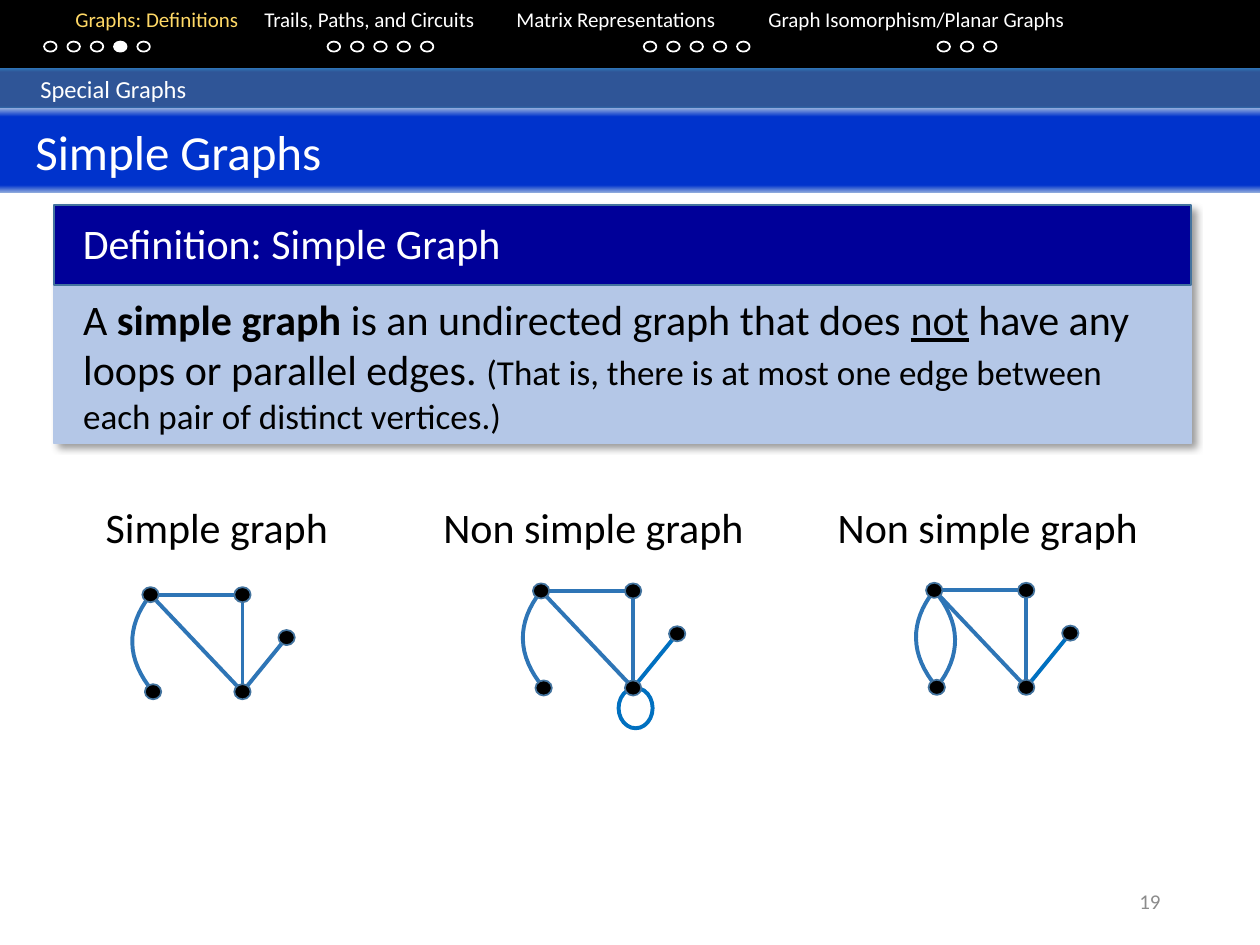
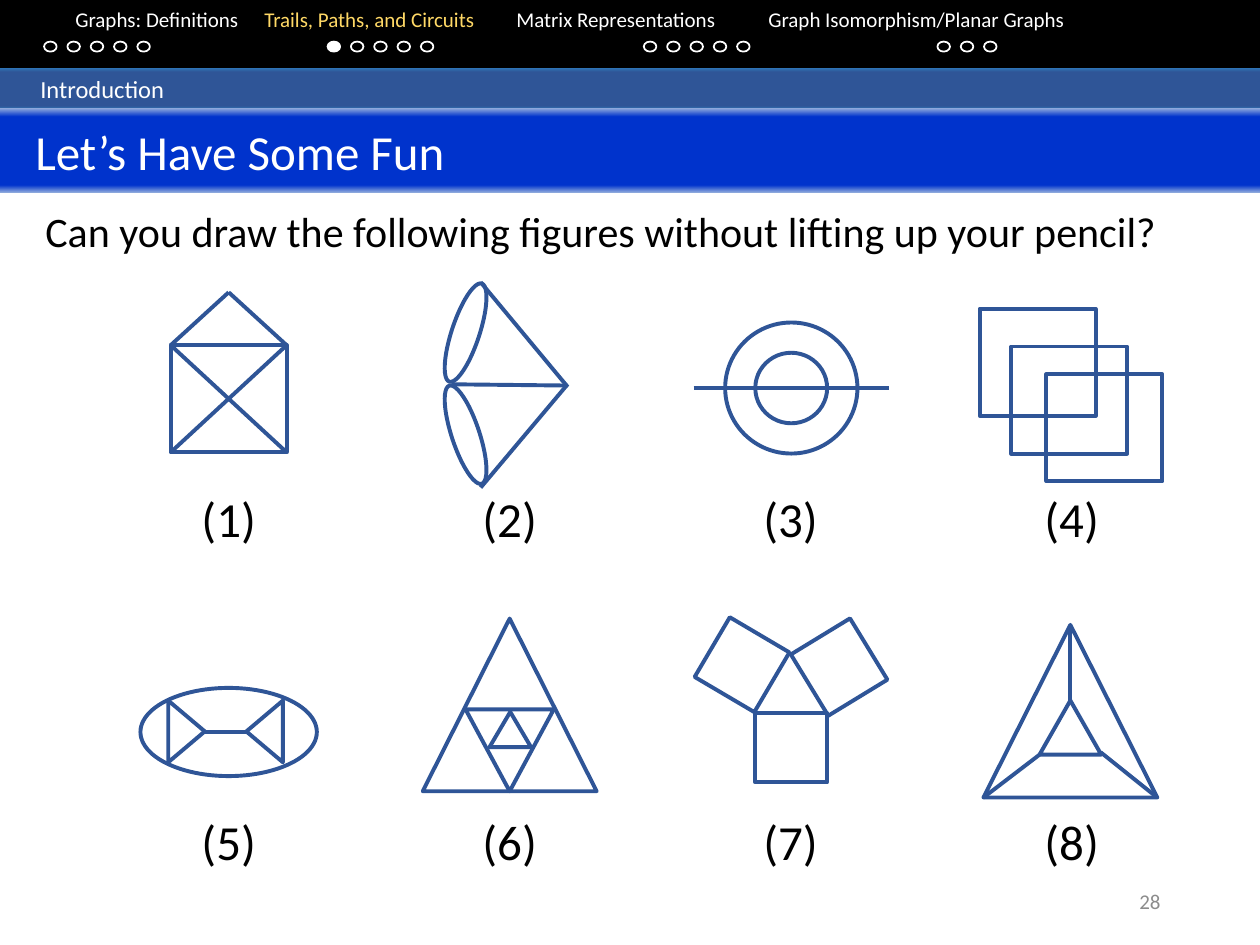
import pptx
import pptx.util
import pptx.dml.color
import pptx.oxml.ns
import pptx.enum.text
import pptx.enum.shapes
import lxml.etree

HUES = {
    "black": "000000", "white": "FFFFFF", "gold": "FFD966", "gray": "8C8C8C",
    "band": "2F5597", "edge": "2E75B6", "title": "0033CC", "glow": "8FAADC",
    "head": "000099", "panel": "B4C7E7", "rim": "43739E", "loop": "0070C0",
}
FONT = "Calibri"
COLS, ROWS = 100, 75
PARTS = [
    ("Graphs: Definitions", 3.5, 5, 0.25),
    ("Trails, Paths, and Circuits", 26, 5, 2.5),
    ("Matrix Representations", 51.1, 5, 5.01),
    ("Graph Isomorphism/Planar Graphs", 74.4, 3, 7.29),
]
DOT_GAP = 1.85
KINDS = pptx.enum.shapes.MSO_SHAPE
FORMS = {"rect": KINDS.RECTANGLE, "oval": KINDS.OVAL, "tri": KINDS.ISOSCELES_TRIANGLE}
ALIGN = pptx.enum.text.PP_ALIGN
ANCHOR = pptx.enum.text.MSO_ANCHOR

NODES = {"a": (0, 0), "b": (7.3, 0), "c": (10.8, 3.4), "d": (7.3, 7.7), "e": (0.2, 7.7)}
GRAPHS = [
    ("Simple graph", 11.95, 47.2, 7.4, 22.3, "edge", [-1.55], False),
    ("Non simple graph", 42.95, 46.9, 34.2, 27.4, "loop", [-1.55], True),
    ("Non simple graph", 74.15, 46.85, 65.5, 27.4, "loop", [-1.55, 1.55], False),
]

FIGURES = [
    [("rect", -4.6, -10.9, 9.2, 8.5), ("line", -4.6, -10.9, 4.6, -2.4),
     ("line", -4.6, -2.4, 4.6, -10.9), ("line", 0, -15.1, 4.6, -10.9),
     ("line", -4.6, -10.9, 0, -15.1)],
    [("line", -4.6, -7.8, 4.6, -7.7), ("line", -2.3, -15.9, 4.6, -7.6),
     ("oval", -4.6, -16, 2.2, 8.2, 18.3), ("oval", -4.6, -7.9, 2.2, 8.2, -18.3),
     ("line", -2.3, 0.4, 4.6, -7.8)],
    [("oval", -2.8, -10.3, 5.7, 5.6), ("oval", -5.2, -12.7, 10.5, 10.4),
     ("line", -7.7, -7.5, 7.8, -7.5)],
    [("rect", x, y, 9.2, 8.5) for x, y in [(-7.3, -13.8), (-4.8, -10.8), (-2, -8.6)]],
    [("line", -1.9, -5.8, 1.5, -5.8), ("tri", 0.4, -7.3, 4.9, 2.9, 270),
     ("tri", -5.8, -7.3, 4.9, 2.9, 90), ("oval", -7, -9.3, 14, 7)],
    [("tri", -6.9, -14.8, 13.8, 13.7), ("tri", -1.6, -7.4, 3.3, 2.8),
     ("tri", -3.5, -7.6, 7, 6.5, 180)],
    [("rect", -2.8, -7.3, 5.7, 5.5), ("rect", -6.6, -13.9, 5.5, 5.5, -59.5),
     ("rect", 1, -13.7, 5.7, 5.5, 58.6)],
    [("tri", -7, -14.3, 13.8, 13.7), ("tri", -2.55, -8.3, 4.9, 4.3),
     ("line", -0.1, -14.3, -0.1, -8.3), ("line", -2.55, -4, -7, -0.6),
     ("line", 6.8, -0.6, 2.3, -4.2)],
]


def rgb(hue):
    """Give the colour object for a named hue."""
    return pptx.dml.color.RGBColor.from_string(HUES[hue])


def sub(node, tag, **attrs):
    """Add a drawing element under a node."""
    return lxml.etree.SubElement(node, pptx.oxml.ns.qn("a:" + tag), attrs)


class Deck:
    """Hold the style, the current slide and the drawing origin."""

    def __init__(self):
        """Open an empty deck and measure its grid."""
        self.file = pptx.Presentation()
        self.file.slide_width = pptx.util.Inches(10)
        self.file.slide_height = pptx.util.Inches(7.5)
        self.col = self.file.slide_width / COLS
        self.row = self.file.slide_height / ROWS
        self.move()

    def move(self, x=0, y=0):
        """Set the origin for the elements that follow."""
        self.org = (x, y)

    def spot(self, x, y):
        """Turn a grid point into slide units."""
        return round((self.org[0] + x) * self.col), round((self.org[1] + y) * self.row)

    def area(self, x, y, w, h):
        """Turn a grid area into slide units."""
        return (*self.spot(x, y), round(w * self.col), round(h * self.row))

    def ink(self, item, fill=None, line=None, width=1):
        """Set the fill and outline and drop the shadow."""
        item.shadow.inherit = False
        for part, hue in ((item.fill, fill), (item.line.fill, line)):
            if hue:
                part.solid()
                part.fore_color.rgb = rgb(hue)
            else:
                part.background()
        if line:
            item.line.width = pptx.util.Pt(width)
        return item

    def shape(self, form, x, y, w, h, fill=None, line=None, width=1, turn=0):
        """Draw a preset shape."""
        item = self.page.shapes.add_shape(FORMS[form], *self.area(x, y, w, h))
        item.rotation = turn
        return self.ink(item, fill, line, width)

    def line(self, x, y, to_x, to_y, hue="band"):
        """Draw a straight line."""
        kind = pptx.enum.shapes.MSO_CONNECTOR.STRAIGHT
        item = self.page.shapes.add_connector(kind, *self.spot(x, y), *self.spot(to_x, to_y))
        item.line.color.rgb = rgb(hue)
        item.line.width = pptx.util.Pt(2.25)
        sub(item.element.spPr, "effectLst")
        return item

    def arc(self, start, end, bow):
        """Draw a curved edge that bulges sideways by bow."""
        pts = []
        for i in range(17):
            t = i / 16
            x, y = (a + (b - a) * t for a, b in zip(start, end))
            pts.append(self.spot(x + 4 * bow * t * (1 - t), y))
        pen = self.page.shapes.build_freeform(*pts[0])
        pen.add_line_segments(pts[1:], close=False)
        self.ink(pen.convert_to_shape(), line="edge", width=2.25)

    def blend(self, item, edge, mid):
        """Fill a band with a gradient from edge to mid and back."""
        item.fill.gradient()
        item.fill.gradient_angle = 270
        stops = item.element.spPr.find(".//" + pptx.oxml.ns.qn("a:gsLst"))
        for old in list(stops):
            stops.remove(old)
        for pos, hue in ((0, edge), (10, mid), (91, mid), (100, edge)):
            sub(sub(stops, "gs", pos=str(pos * 1000)), "srgbClr", val=HUES[hue])

    def put(self, item, runs, size, hue="black", align=ALIGN.LEFT,
            inset=0.1, anchor=ANCHOR.TOP, tabs=()):
        """Fill a shape with one paragraph of runs."""
        frame = item.text_frame
        frame.word_wrap = True
        frame.auto_size = pptx.enum.text.MSO_AUTO_SIZE.NONE
        frame.vertical_anchor = anchor
        frame.margin_left = pptx.util.Inches(inset)
        para = frame.paragraphs[0]
        for text in runs:
            para.add_run().text = text
        props = para._p.get_or_add_pPr()
        props.set("marL", "0")
        props.set("indent", "0")
        sub(props, "buNone")
        if tabs:
            stops = sub(props, "tabLst")
            for tab in tabs:
                sub(stops, "tab", pos=str(pptx.util.Inches(tab)), algn="l")
        para.alignment = align
        para.space_before = pptx.util.Pt(0)
        para.font.name = FONT
        para.font.size = pptx.util.Pt(size)
        para.font.color.rgb = rgb(hue)
        return para

    def text(self, x, y, w, h, runs, size, **style):
        """Add a text box."""
        box = self.page.shapes.add_textbox(*self.area(x, y, w, h))
        return self.put(box, runs, size, **style)

    def place(self, index, x, y, w, h):
        """Move a placeholder to an area and to the front."""
        item = self.page.placeholders[index]
        item.left, item.top, item.width, item.height = self.area(x, y, w, h)
        self.page.shapes.element.append(item.element)
        return item

    def start(self, part, dot, topic, title, number):
        """Begin a slide with its bands, progress dots and number."""
        self.page = self.file.slides.add_slide(self.file.slide_layouts[1])
        self.move()
        self.shape("rect", 0, -0.2, COLS, 5.6, "black")
        names = ["\t" + name for name, *rest in PARTS]
        tabs = [tab for *rest, tab in PARTS]
        para = self.text(0, 0, COLS, 5, names, 12, hue="white", tabs=tabs)
        para.runs[part].font.color.rgb = rgb("gold")
        for p, (name, left, count, tab) in enumerate(PARTS):
            for i in range(count):
                fill = "white" if (p, i) == (part, dot) else None
                self.shape("oval", left + i * DOT_GAP, 3.3, 1, 0.8, fill, "white")
        band = self.shape("rect", 0, 5.4, COLS, 3.3)
        self.blend(band, "edge", "band")
        self.put(band, [topic], 14, "white", inset=0.32, anchor=ANCHOR.MIDDLE)
        head = self.place(0, 0, 8.6, COLS, 6.7)
        self.blend(head, "glow", "title")
        self.put(head, [title], 28, "white", inset=0.28, anchor=ANCHOR.MIDDLE)
        self.text(70.6, 69.5, 22.5, 4, [number], 12, hue="gray",
                  align=ALIGN.RIGHT, anchor=ANCHOR.MIDDLE)

    def panel(self, head, runs):
        """Draw a definition panel with a soft shadow."""
        box = self.shape("rect", 4.3, 16.3, 90.2, 18.9, "panel", "panel")
        cast = sub(box.element.spPr.find(pptx.oxml.ns.qn("a:effectLst")), "outerShdw",
                   blurRad=str(pptx.util.Pt(4)), dist=str(pptx.util.Pt(3)),
                   dir="2700000", algn="tl", rotWithShape="0")
        sub(sub(cast, "srgbClr", val=HUES["black"]), "alpha", val="40000")
        self.shape("rect", 4.3, 16.3, 90.2, 6.3, "head", "rim")
        self.text(5.6, 16.8, 46.3, 5, [head], 24, hue="white")
        para = self.put(self.place(1, 5.6, 22.8, 85.8, 12.5), runs, 24)
        para.space_after = pptx.util.Pt(6)
        return para

    def graph(self, name, x, y, left, wide, last, bows, loop):
        """Draw a named graph from the shared nodes."""
        self.move()
        self.text(left, 39.3, wide, 5, [name], 24)
        self.move(x, y)
        for pair, hue in (("ab", "edge"), ("ad", "edge"), ("bd", "edge"), ("cd", last)):
            self.line(*NODES[pair[0]], *NODES[pair[1]], hue)
        for bow in bows:
            self.arc(NODES["a"], NODES["e"], bow)
        if loop:
            self.shape("oval", 6.15, 7.7, 2.7, 3.2, line="loop", width=2.25)
        for left, top in NODES.values():
            self.shape("oval", left - 0.65, top - 0.6, 1.3, 1.2, "black", "rim")

    def figure(self, index, parts):
        """Draw a numbered figure in its cell of a four by two grid."""
        row, col = divmod(index, 4)
        self.move(18.15 + 22.3 * col, 38.3 + 25.6 * row)
        for form, x, y, w, h, *turn in parts:
            if form == "line":
                self.line(x, y, w, h)
            else:
                self.shape(form, x, y, w, h, line="band", width=2.25, turn=sum(turn))
        self.text(-4.65, 0, 9.3, 5.7, [f"({index + 1})"], 28, align=ALIGN.CENTER)


def main():
    """Build both slides and save the deck."""
    deck = Deck()
    deck.start(0, 3, "Special Graphs", "Simple Graphs", "19")
    para = deck.panel("Definition: Simple Graph", [
        "A ", "simple graph", " is an undirected graph that does ", "not",
        " have any loops or parallel edges. ",
        "(That is, there is at most one edge between each pair of distinct vertices.)"])
    para.runs[1].font.bold = True
    para.runs[3].font.underline = True
    para.runs[5].font.size = pptx.util.Pt(20)
    for graph in GRAPHS:
        deck.graph(*graph)

    deck.start(1, 0, "Introduction", "Let’s Have Some Fun", "28")
    ask = "Can you draw the following figures without lifting up your pencil?"
    deck.put(deck.place(1, 2.6, 15.8, 90.5, 5), [ask], 24)
    for index, parts in enumerate(FIGURES):
        deck.figure(index, parts)
    deck.file.save("out.pptx")


if __name__ == "__main__":
    main()
